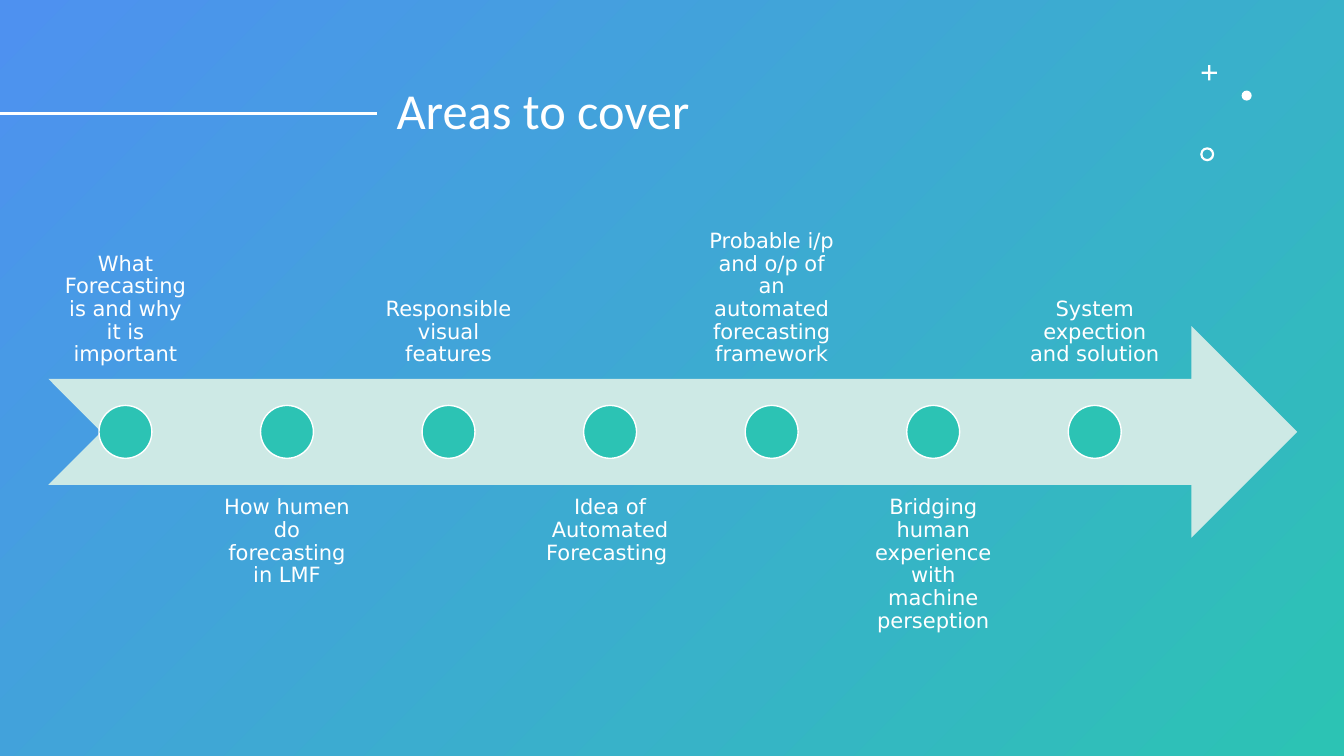
from lxml import etree
from pptx import Presentation, util as u
from pptx.dml.color import RGBColor
from pptx.enum import shapes, text
from pptx.oxml.ns import qn

WHITE = RGBColor(0xFF, 0xFF, 0xFF)
BLUE = RGBColor(0x4E, 0x91, 0xF0)
TEAL = RGBColor(0x2C, 0xC3, 0xB4)
MINT = RGBColor(0xCD, 0xE9, 0xE5)
KIND = shapes.MSO_SHAPE
ANCHOR = text.MSO_ANCHOR
ALIGN = text.PP_ALIGN

WIDTH, HEIGHT = 960, 540
TOPICS = [
    "What Forecasting is and why it is important",
    "How humen do forecasting in LMF",
    "Responsible visual features",
    "Idea of Automated Forecasting ",
    "Probable i/p and o/p of an automated forecasting framework",
    "Bridging human experience with machine perseption",
    "System expection and solution",
]


class Deck:
    """Holds the text style and the current slide; lengths are in points."""

    body_font, body_size = "DejaVu Sans", 15
    title_font, title_size = "Calibri", 36
    line_spacing = 0.9

    def __init__(self):
        self.prs = Presentation()
        self.prs.slide_width = u.Pt(WIDTH)
        self.prs.slide_height = u.Pt(HEIGHT)
        self.s = self.prs.slides.add_slide(self.prs.slide_layouts[6])

    def shape(self, kind, x, y, w, h, fill=WHITE, outline=None, adj=None):
        sp = self.s.shapes.add_shape(kind, u.Pt(x), u.Pt(y), u.Pt(w), u.Pt(h))
        sp.shadow.inherit = False
        sp.fill.solid()
        sp.fill.fore_color.rgb = fill
        if outline is None:
            sp.line.fill.background()
        else:
            sp.line.color.rgb = outline
            sp.line.width = u.Pt(1)
        if adj is not None:
            sp.adjustments[0] = adj
        return sp

    def backdrop(self, start, end):
        sp = self.shape(KIND.RECTANGLE, 0, 0, WIDTH, HEIGHT)
        sp.fill.gradient()
        sp.fill.gradient_angle = 315
        for stop, color in zip(sp.fill.gradient_stops, (start, end)):
            stop.color.rgb = color
        sp.fill.gradient_stops[0].position = 0
        sp.fill.gradient_stops[1].position = 1

    def line(self, x1, y1, x2, y2, width):
        ln = self.s.shapes.add_connector(
            shapes.MSO_CONNECTOR.STRAIGHT, u.Pt(x1), u.Pt(y1), u.Pt(x2), u.Pt(y2))
        ln.line.color.rgb = WHITE
        ln.line.width = u.Pt(width)
        etree.SubElement(ln._element.spPr, qn("a:effectLst"))

    def text(self, words, x, y, w, h, font, size, anchor, align, inset):
        tf = self.s.shapes.add_textbox(u.Pt(x), u.Pt(y), u.Pt(w), u.Pt(h)).text_frame
        tf.word_wrap = True
        tf.vertical_anchor = anchor
        tf.margin_left = tf.margin_right = u.Pt(inset)
        tf.margin_top = tf.margin_bottom = u.Pt(inset)
        p = tf.paragraphs[0]
        p.text = words
        p.alignment = align
        p.line_spacing = self.line_spacing
        p.font.name = font
        p.font.size = u.Pt(size)
        p.font.color.rgb = WHITE

    def title(self, words, x, y, w, h):
        self.text(words, x, y, w, h, self.title_font, self.title_size,
                  ANCHOR.MIDDLE, ALIGN.LEFT, 7.2)

    def label(self, words, x, y, w, h, anchor):
        self.text(words, x, y, w, h, self.body_font, self.body_size,
                  anchor, ALIGN.CENTER, 8.4)


def main():
    deck = Deck()

    # Background, title and its rule
    deck.backdrop(BLUE, TEAL)
    deck.title("Areas to cover", 276.2, 28.8, 564, 104.4)
    deck.line(0, 80.9, 269, 80.9, 2)

    # Small ornaments: plus, dot and ring
    deck.shape(KIND.CROSS, 858.4, 46.6, 10.8, 10.8, adj=0.43)
    deck.shape(KIND.OVAL, 886.9, 64.7, 7.2, 7.2)
    deck.shape(KIND.DONUT, 857.3, 105.2, 10, 10, adj=0.16)

    # Timeline arrow
    left, band, dot, pitch, label_w = 34.6, 151.2, 37.8, 115.4, 110
    top = 232.9
    deck.shape(KIND.NOTCHED_RIGHT_ARROW, left, top, 892, band, MINT)

    # Topics, alternately above and below the arrow
    label_top = top + band / 2 - 189.6
    label_bottom = top + band * 3 / 4
    for i, topic in enumerate(TOPICS):
        x = left + i * pitch
        if i % 2 == 0:
            deck.label(topic, x, label_top, label_w, band, ANCHOR.BOTTOM)
        else:
            deck.label(topic, x, label_bottom, label_w, band, ANCHOR.TOP)
        deck.shape(KIND.OVAL, x + (label_w - dot) / 2, top + (band - dot) / 2,
                   dot, dot, TEAL, WHITE)

    deck.prs.save("out.pptx")


if __name__ == "__main__":
    main()
